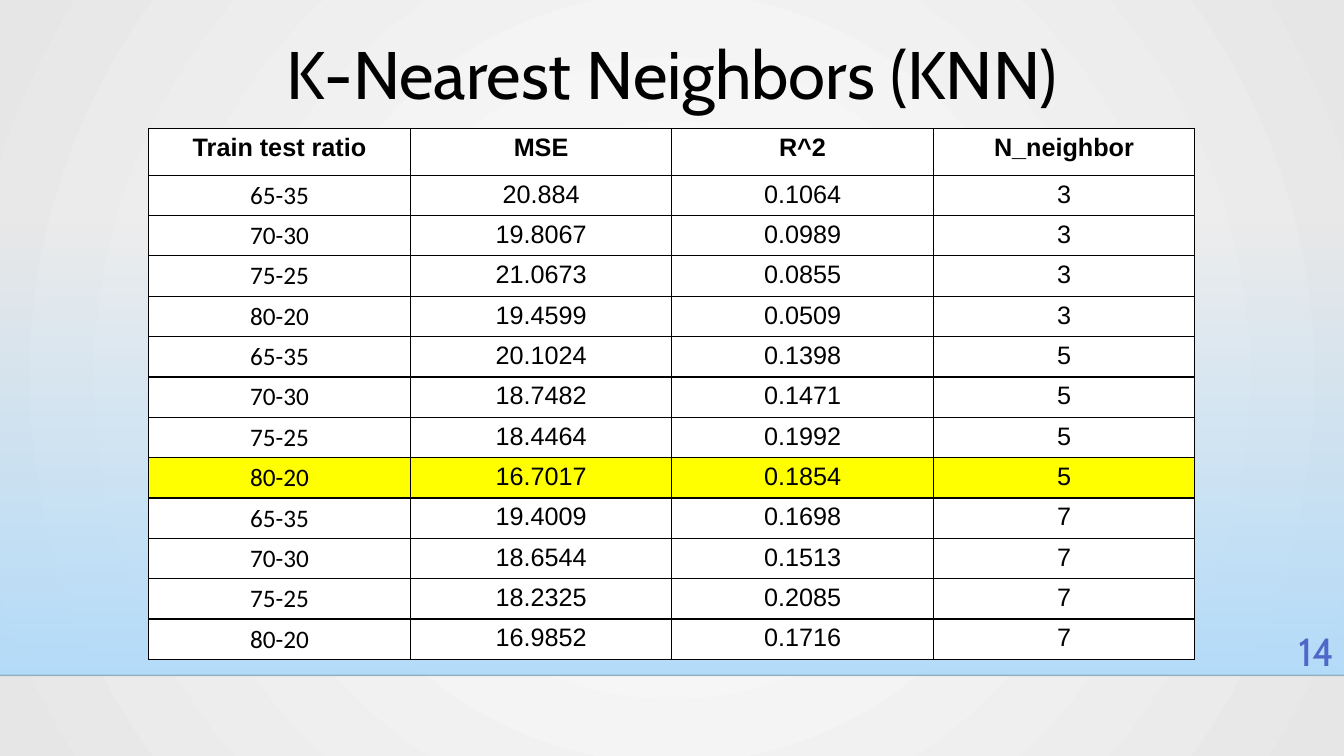
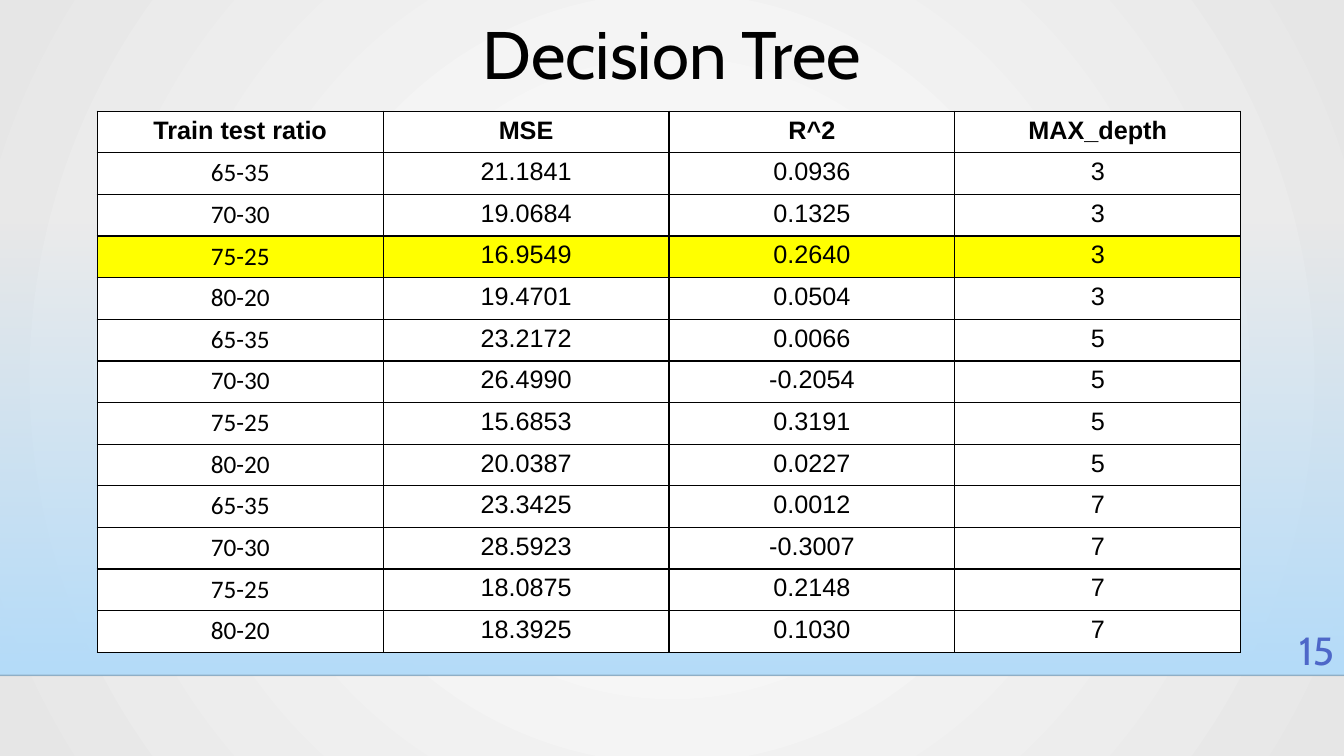
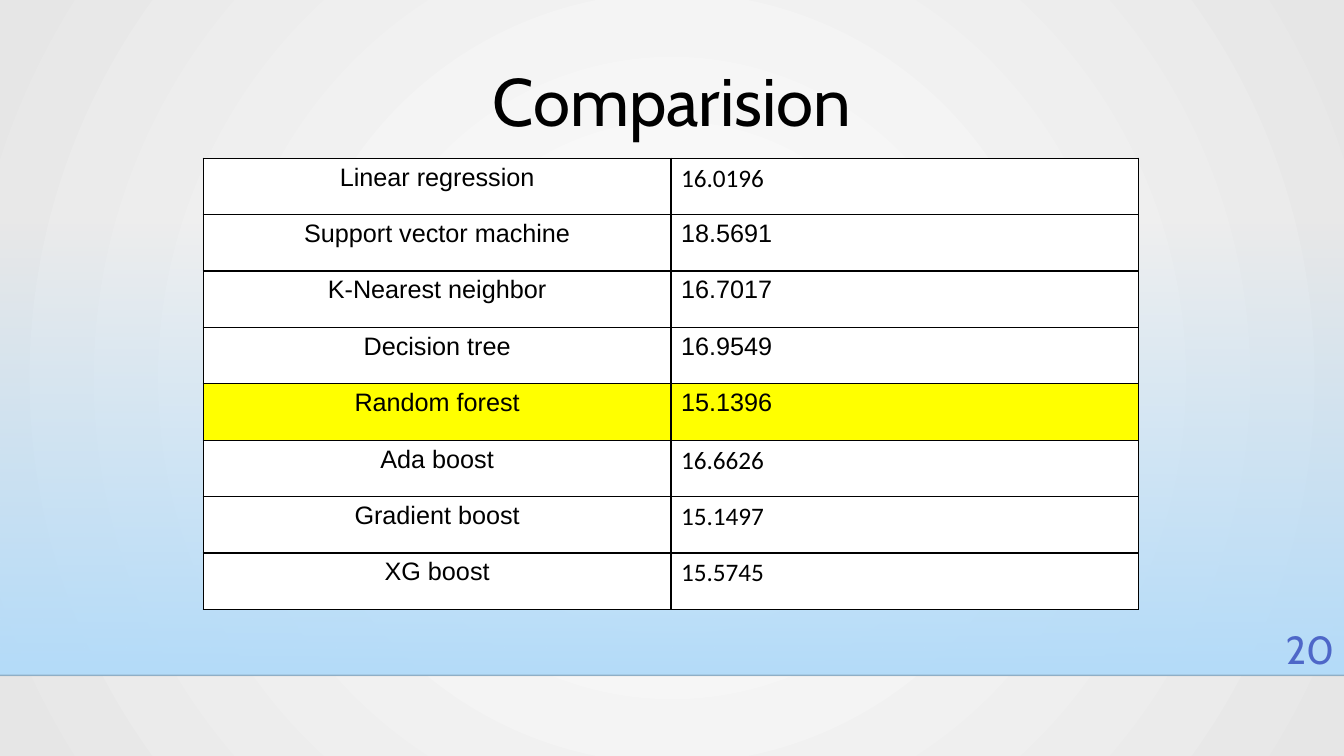
"""Build three slides with model result tables over a shared gradient background."""
from dataclasses import dataclass
from itertools import product

from lxml import etree
from pptx import Presentation
from pptx.dml.color import RGBColor
from pptx.enum import shapes, text
from pptx.oxml.ns import qn
from pptx.util import Pt


@dataclass(frozen=True)
class Theme:
    ink: str = "000000"
    rule: str = "000001"
    paper: str = "FFFFFF"
    edge: str = "E6E6E6"
    sky: str = "B4DCFA"
    highlight: str = "FFFF00"
    number: str = "4E67C8"
    display: str = "Cabin"
    body: str = "Arial"
    alternate: str = "Calibri"
    title_size: int = 48
    number_size: int = 28
    cell_size: int = 18


T = Theme()
WIDTH, HEIGHT = 960, 540
BAND_TOP, BAND_BOTTOM = 159, 482.4
CENTER, LEFT, RIGHT = text.PP_ALIGN.CENTER, text.PP_ALIGN.LEFT, text.PP_ALIGN.RIGHT

RATIOS = ("65-35", "70-30", "75-25", "80-20")
SETTINGS = ("3", "5", "7")
KNN_SCORES = [
    ("20.884", "0.1064"), ("19.8067", "0.0989"), ("21.0673", "0.0855"), ("19.4599", "0.0509"),
    ("20.1024", "0.1398"), ("18.7482", "0.1471"), ("18.4464", "0.1992"), ("16.7017", "0.1854"),
    ("19.4009", "0.1698"), ("18.6544", "0.1513"), ("18.2325", "0.2085"), ("16.9852", "0.1716"),
]
TREE_SCORES = [
    ("21.1841", "0.0936"), ("19.0684", "0.1325"), ("16.9549", "0.2640"), ("19.4701", "0.0504"),
    ("23.2172", "0.0066"), ("26.4990", "-0.2054"), ("15.6853", "0.3191"), ("20.0387", "0.0227"),
    ("23.3425", "0.0012"), ("28.5923", "-0.3007"), ("18.0875", "0.2148"), ("18.3925", "0.1030"),
]
COMPARISON = [
    ("Linear regression", "16.0196"), ("Support vector machine", "18.5691"),
    ("K-Nearest neighbor", "16.7017"), ("Decision tree", "16.9549"),
    ("Random forest", "15.1396"), ("Ada boost", "16.6626"),
    ("Gradient boost", "15.1497"), ("XG boost", "15.5745"),
]


def score_rows(setting_name, scores):
    body = [(ratio, *score, setting)
            for (setting, ratio), score in zip(product(SETTINGS, RATIOS), scores)]
    return [("Train test ratio", "MSE", "R^2", setting_name)] + body


RATIO_CELLS = {(row, 0) for row in range(1, 13)}
SLIDES = [
    dict(title="K-Nearest Neighbors (KNN)", title_top=19.4, number="14", number_top=444.2,
         rows=score_rows("N_neighbor", KNN_SCORES), left=106.3, top=91.9, col_width=186.8,
         heights=[33.2] + [28.8] * 12, aligns=[CENTER] * 4, header=True, best=8,
         alternate=RATIO_CELLS),
    dict(title="Decision Tree", title_top=5, number="15", number_top=443.5,
         rows=score_rows("MAX_depth", TREE_SCORES), left=69.5, top=79.4, col_width=204.2,
         heights=[29.75] * 13, aligns=[CENTER] * 4, header=True, best=3,
         alternate=RATIO_CELLS),
    dict(title="Comparision", title_top=38.9, number="20", number_top=442.8,
         rows=COMPARISON, left=145.2, top=113, col_width=334.1,
         heights=[40.3] * 8, aligns=[CENTER, LEFT], header=False, best=4,
         alternate={(row, 1) for row in (0, 5, 6, 7)}),
]


def rgb(color):
    return RGBColor.from_string(color)


def add_run(tf, content, size, font, color, align, bold=False):
    p = tf.paragraphs[0]
    p.alignment = align
    r = p.add_run()
    r.text = content
    r.font.size, r.font.name, r.font.bold = Pt(size), font, bold
    r.font.color.rgb = rgb(color)


def add_text(s, box, content, size, color, align):
    tf = s.shapes.add_textbox(*map(Pt, box)).text_frame
    tf.word_wrap = True
    add_run(tf, content, size, T.display, color, align)
    return tf


def set_gradient(fill, colors):
    fill.gradient()
    for stop, color in zip(fill.gradient_stops, colors):
        stop.color.rgb = rgb(color)


def set_opacity(element, percent):
    color = element.xpath(".//a:srgbClr")[0]
    etree.SubElement(color, qn("a:alpha"), val=str(percent * 1000))


def style_background(master):
    set_gradient(master.background.fill, (T.paper, T.edge))
    gradient = master.element.xpath(".//p:bgPr/a:gradFill")[0]
    gradient.remove(gradient.find(qn("a:lin")))
    circle = etree.SubElement(gradient, qn("a:path"), path="circle")
    etree.SubElement(circle, qn("a:fillToRect"), {side: "50000" for side in "ltrb"})


def style_master(master, s):
    style_background(master)
    band = s.shapes.add_shape(shapes.MSO_SHAPE.RECTANGLE, 0, Pt(BAND_TOP),
                              Pt(WIDTH), Pt(BAND_BOTTOM - BAND_TOP))
    band.shadow.inherit = False
    band.line.fill.background()
    set_gradient(band.fill, (T.sky, T.sky))
    band.fill.gradient_angle = 270
    set_opacity(band.element, 0)
    rule = s.shapes.add_connector(shapes.MSO_CONNECTOR.STRAIGHT, 0, Pt(BAND_BOTTOM),
                                  Pt(WIDTH), Pt(BAND_BOTTOM))
    rule.line.width = Pt(1)
    rule.line.color.rgb = rgb(T.rule)
    set_opacity(rule.element, 20)
    etree.SubElement(rule.element.spPr, qn("a:effectLst"))
    for sp in (band, rule):
        master.shapes.element.append(sp.element)


def add_borders(cell):
    tc_pr = cell._tc.get_or_add_tcPr()
    for side in "LRTB":
        ln = etree.SubElement(tc_pr, qn(f"a:ln{side}"), w=str(Pt(1)))
        fill = etree.SubElement(ln, qn("a:solidFill"))
        etree.SubElement(fill, qn("a:srgbClr"), val=T.ink)


def add_results(s, d):
    rows, cols = len(d["rows"]), len(d["aligns"])
    box = d["left"], d["top"], d["col_width"] * cols, sum(d["heights"])
    table = s.shapes.add_table(rows, cols, *map(Pt, box)).table
    table.first_row = table.horz_banding = False
    for column in table.columns:
        column.width = Pt(d["col_width"])
    for i, (values, height) in enumerate(zip(d["rows"], d["heights"])):
        table.rows[i].height = Pt(height)
        for j, (value, align) in enumerate(zip(values, d["aligns"])):
            cell = table.cell(i, j)
            add_borders(cell)
            cell.fill.solid()
            cell.fill.fore_color.rgb = rgb(T.highlight if i == d["best"] else T.paper)
            font = T.alternate if (i, j) in d["alternate"] else T.body
            add_run(cell.text_frame, value, T.cell_size, font, T.ink, align,
                    bold=d["header"] and i == 0)


def main():
    prs = Presentation()
    prs.slide_width, prs.slide_height = Pt(WIDTH), Pt(HEIGHT)
    for index, d in enumerate(SLIDES):
        s = prs.slides.add_slide(prs.slide_layouts[6])
        if index == 0:
            style_master(prs.slide_master, s)
        tf = add_text(s, (0, d["title_top"], WIDTH, 65.5), d["title"],
                      T.title_size, T.ink, CENTER)
        tf.auto_size = text.MSO_AUTO_SIZE.SHAPE_TO_FIT_TEXT
        add_results(s, d)
        add_text(s, (896.4, d["number_top"], 63.6, 39.6), d["number"],
                 T.number_size, T.number, RIGHT)
    prs.save("out.pptx")


if __name__ == "__main__":
    main()
